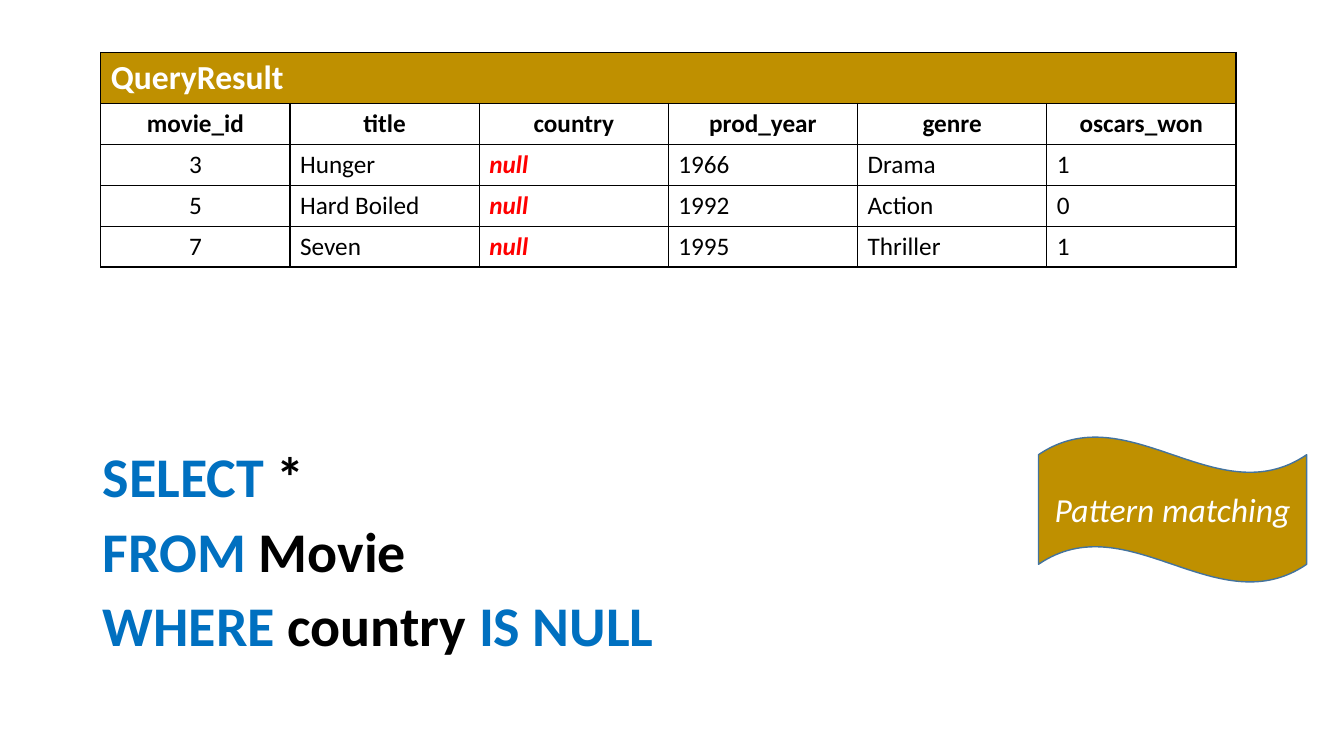
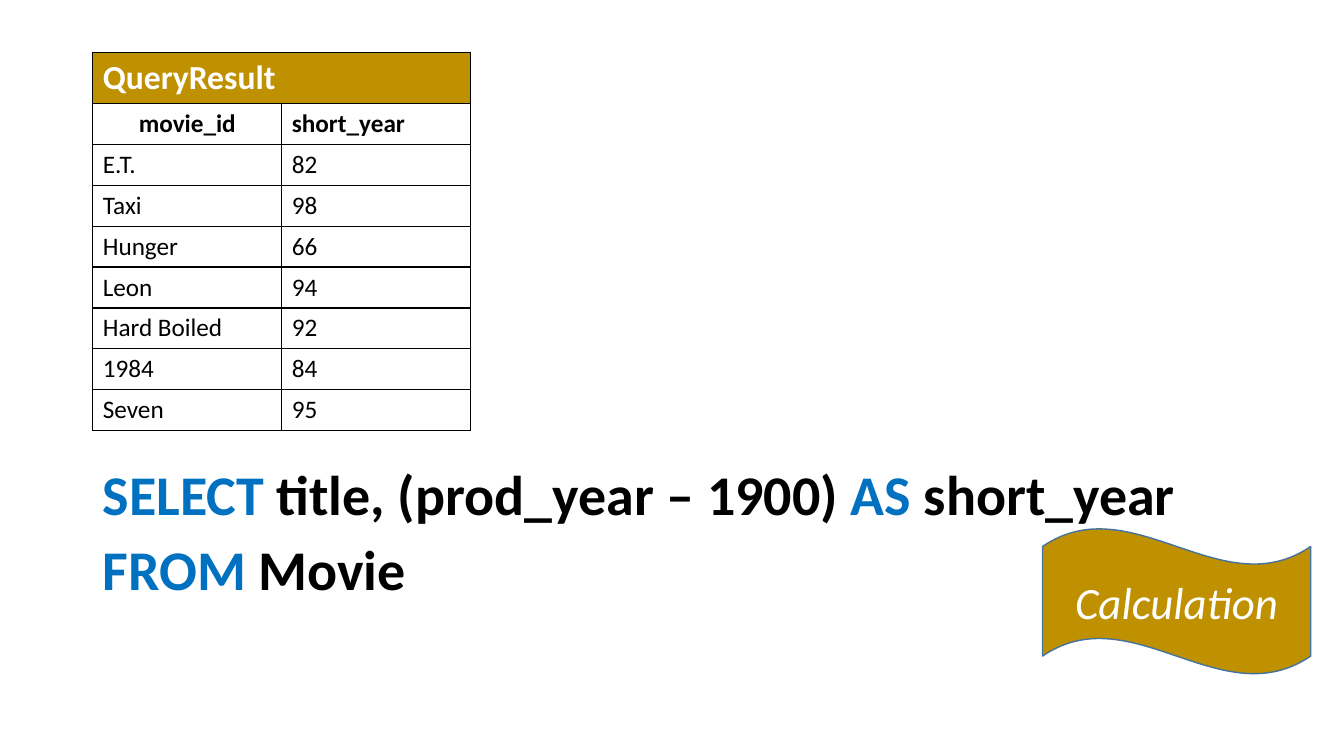
from dataclasses import dataclass

from lxml.etree import SubElement
from pptx import Presentation
from pptx.dml.color import RGBColor as Rgb
from pptx.enum.shapes import MSO_SHAPE as Shape
from pptx.enum.text import MSO_ANCHOR as Anchor, MSO_AUTO_SIZE as Fit, PP_ALIGN as Align
from pptx.oxml.ns import qn
from pptx.util import Inches, Pt

FONT = "Calibri"
HEX = {
    "gold": "BF9000",
    "edge": "43739E",
    "key": "0070C0",
    "ink": "000000",
    "null": "FF0000",
    "white": "FFFFFF",
}


@dataclass(frozen=True)
class Grid:
    left: float
    width: float
    heads: list[str]
    rows: list[list[str]]
    mid_heads: int
    mid_cells: int


@dataclass(frozen=True)
class Wave:
    left: float
    top: float
    label: str
    size: int


@dataclass(frozen=True)
class Part:
    text: str
    color: str = "ink"


def tint(name: str) -> Rgb:
    return Rgb.from_string(HEX[name])


def write(para, text: str, *, size: int, color: str = "ink", bold: bool = False,
          slant: bool = False, align=Align.LEFT) -> None:
    para.alignment = align
    run = para.add_run()
    run.text = text
    font = run.font
    font.name, font.size = FONT, Pt(size)
    font.bold, font.italic = bold, slant
    font.color.rgb = tint(color)


def frame_cell(cell) -> None:
    props = cell._tc.get_or_add_tcPr()
    for side in ("lnL", "lnR", "lnT", "lnB"):
        line = SubElement(props, qn(f"a:{side}"), w=str(Pt(1)))
        fill = SubElement(line, qn("a:solidFill"))
        SubElement(fill, qn("a:srgbClr"), val=HEX["ink"])


def draw_grid(slide, grid: Grid) -> None:
    count = len(grid.heads)
    high = 0.5 + 0.4 * (len(grid.rows) + 1)
    table = slide.shapes.add_table(
        len(grid.rows) + 2, count, Inches(grid.left), Inches(0.52),
        Inches(grid.width), Inches(high)).table
    table.first_row = table.horz_banding = False
    for col in table.columns:
        col.width = Inches(grid.width / count)
    for r, row in enumerate(table.rows):
        row.height = Inches(0.4 if r else 0.5)
        for cell in row.cells:
            frame_cell(cell)
            cell.fill.background()
    top = table.cell(0, 0)
    top.merge(table.cell(0, count - 1))
    top.fill.solid()
    top.fill.fore_color.rgb = tint("gold")
    write(top.text_frame.paragraphs[0], "QueryResult", size=24, color="white", bold=True)
    for r, texts in enumerate([grid.heads, *grid.rows], 1):
        mid = grid.mid_heads if r == 1 else grid.mid_cells
        for c, text in enumerate(texts):
            null = text == "null"
            write(table.cell(r, c).text_frame.paragraphs[0], text, size=18,
                  color="null" if null else "ink", bold=null or r == 1, slant=null,
                  align=Align.CENTER if c < mid else Align.LEFT)


def draw_wave(slide, wave: Wave) -> None:
    shape = slide.shapes.add_shape(
        Shape.WAVE, Inches(wave.left), Inches(wave.top), Inches(2.66), Inches(1.45))
    shape.shadow.inherit = False
    shape.fill.solid()
    shape.fill.fore_color.rgb = tint("gold")
    shape.line.color.rgb = tint("edge")
    shape.line.width = Pt(1)
    frame = shape.text_frame
    frame.word_wrap = True
    frame.vertical_anchor = Anchor.MIDDLE
    write(frame.paragraphs[0], wave.label, size=wave.size, color="white",
          slant=True, align=Align.CENTER)


def draw_query(box, top: float, high: float, lines: list[list[Part]]) -> None:
    box.left, box.top = Inches(0.92), Inches(top)
    box.width, box.height = Inches(11.5), Inches(high)
    frame = box.text_frame
    frame.word_wrap = True
    frame.auto_size = Fit.NONE
    frame.vertical_anchor = Anchor.TOP
    for i, parts in enumerate(lines):
        para = frame.add_paragraph() if i else frame.paragraphs[0]
        props = para._p.get_or_add_pPr()
        props.set("marL", "0")
        props.set("indent", "0")
        SubElement(props, qn("a:buNone"))
        para.line_spacing = 0.9
        para.space_before = Pt(10 if i else 0)
        for part in parts:
            write(para, part.text, size=40, color=part.color, bold=True)


def build_match(deck) -> None:
    slide = deck.slides.add_slide(deck.slide_layouts[1])
    title = slide.shapes.title._element
    title.getparent().remove(title)
    draw_query(slide.placeholders[1], 4.41, 2.55, [
        [Part("SELECT", "key"), Part(" *")],
        [Part("FROM", "key"), Part(" Movie")],
        [Part("WHERE ", "key"), Part("country "), Part("IS NULL", "key")],
    ])
    heads = ["movie_id", "title", "country", "prod_year", "genre", "oscars_won"]
    draw_grid(slide, Grid(1, 11.26, heads, [
        ["3", "Hunger", "null", "1966", "Drama", "1"],
        ["5", "Hard Boiled", "null", "1992", "Action", "0"],
        ["7", "Seven", "null", "1995", "Thriller", "1"],
    ], mid_heads=6, mid_cells=1))
    draw_wave(slide, Wave(10.3, 4.33, "Pattern matching", 24))


def build_math(deck) -> None:
    slide = deck.slides.add_slide(deck.slide_layouts[6])
    draw_wave(slide, Wave(10.34, 5.24, "Calculation", 32))
    draw_query(slide.shapes.add_textbox(0, 0, 0, 0), 4.59, 2.17, [
        [Part("SELECT", "key"), Part(" title, (prod_year – 1900) "),
         Part("AS", "key"), Part(" short_year")],
        [Part("FROM", "key"), Part(" Movie")],
    ])
    draw_grid(slide, Grid(0.92, 3.75, ["movie_id", "short_year"], [
        ["E.T.", "82"],
        ["Taxi", "98"],
        ["Hunger", "66"],
        ["Leon", "94"],
        ["Hard Boiled", "92"],
        ["1984", "84"],
        ["Seven", "95"],
    ], mid_heads=1, mid_cells=0))


def main() -> None:
    deck = Presentation()
    deck.slide_width, deck.slide_height = Inches(13.33), Inches(7.5)
    build_match(deck)
    build_math(deck)
    deck.save("out.pptx")


if __name__ == "__main__":
    main()
